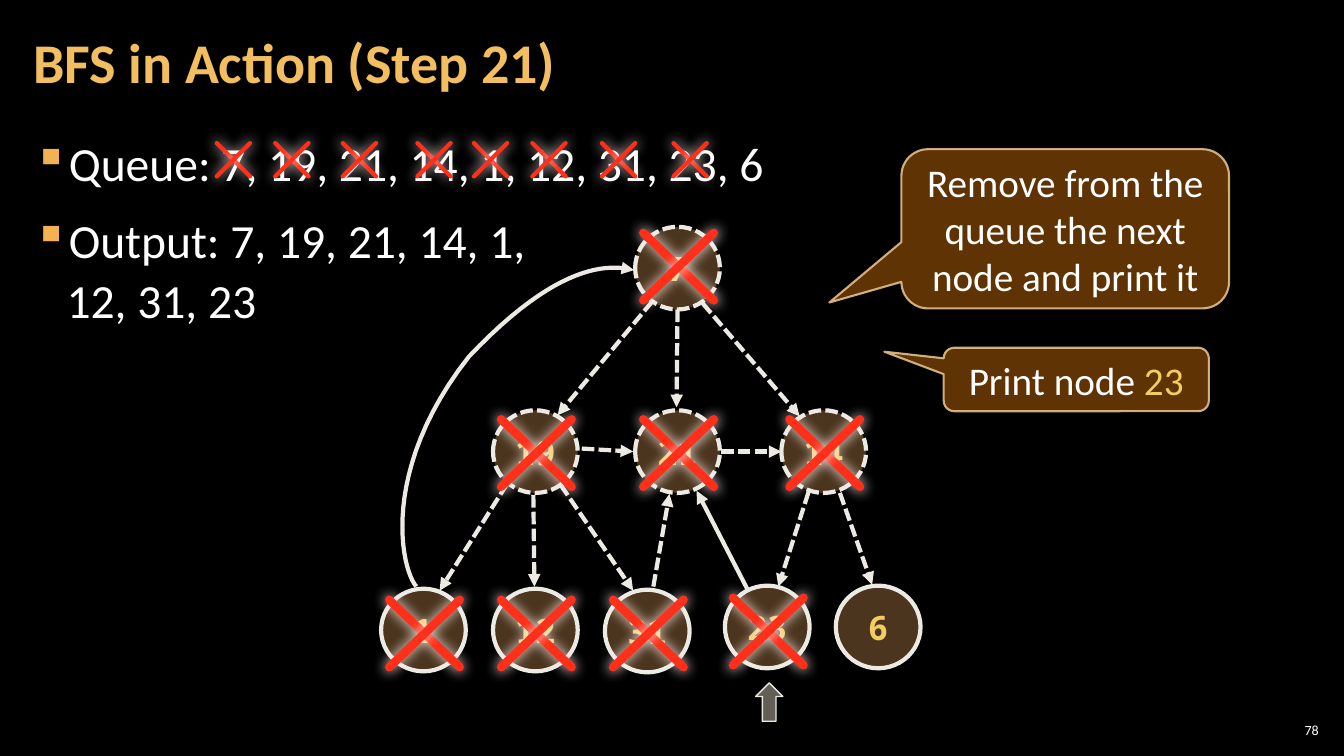
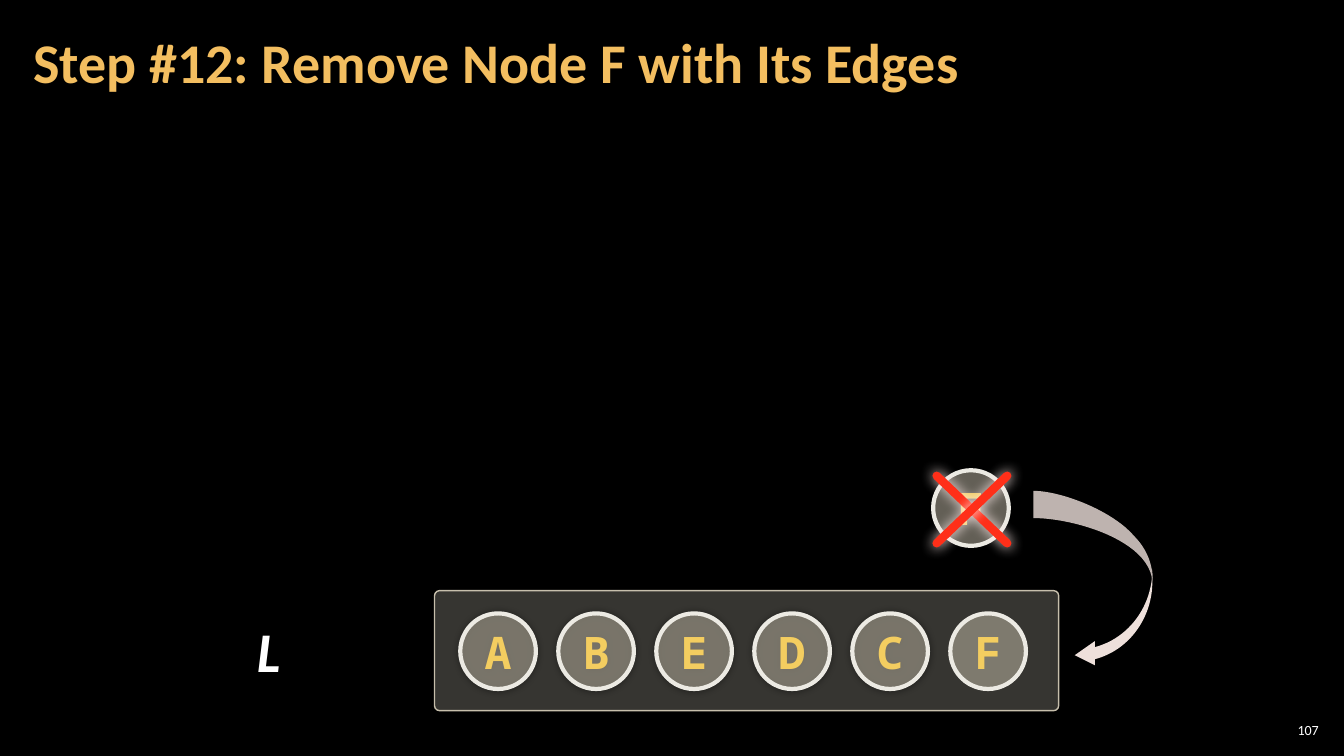
from dataclasses import dataclass
from lxml.etree import SubElement
from pptx import Presentation
from pptx.dml.color import RGBColor as Color
from pptx.enum.dml import MSO_LINE as Dash
from pptx.enum.shapes import MSO_CONNECTOR as Link, MSO_SHAPE as Shape
from pptx.enum.text import MSO_ANCHOR as Anchor, PP_ALIGN as Align
from pptx.oxml.ns import qn
from pptx.util import Inches, Pt


@dataclass(frozen=True)
class Theme:
    font: str = "Calibri"
    mono: str = "Noto Sans Mono"
    black: str = "000000"
    white: str = "FFFFFF"
    title: str = "F3BE60"
    bullet: str = "F2B254"
    gold: str = "F3CD60"
    pale: str = "ECEAE3"
    brown: str = "6C4C2C"
    stone: str = "C7BFAC"
    tray: str = "D9D5C7"
    red: str = "FF2F19"
    glow: str = "FFEDEB"
    callout: str = "663606"
    callout_edge: str = "F8D49E"
    swoosh: str = "EEE0DB"
    swoosh_dark: str = "BEB3AF"


THEME = Theme()
# Text formats: attributes of a font, with the colour as hex
TITLE = dict(size=40, name=THEME.font, bold=True, color=THEME.title)
BODY = dict(size=34, name=THEME.font, color=THEME.white)
NUMBER = dict(size=10, name=THEME.font, color=THEME.white)
NOTE = dict(size=28, name=THEME.font, color=THEME.white)
NOTE_KEY = NOTE | dict(color=THEME.gold)
NODE = dict(size=24, name=THEME.mono, bold=True, color=THEME.gold)
LETTER = NODE | dict(size=32)
LIST_NAME = dict(size=40, name=THEME.font, bold=True, italic=True, color=THEME.white)

# The slide is a grid of 13.33 columns by 7.5 rows, one inch each
COLUMNS, ROWS = 13.33, 7.5
NARROW = (0.12, 0.04, 0.12, 0.04)
NORMAL = (0.1, 0.05, 0.1, 0.05)
GLOW = dict(color=THEME.glow, alpha=100, blur=10, angle=90)
SOFT = dict(color=THEME.black, alpha=40, blur=5, angle=0)

# Content of the traversal slide
BULLETS = ["Queue: 7, 19, 21, 14, 1, 12, 31, 23, 6",
           "Output: 7, 19, 21, 14, 1,\n12, 31, 23"]
QUEUE_CROSSES = [2.15, 2.73, 3.4, 4.14, 4.7, 5.28, 5.97, 6.68]
# label, centre column, centre row, dashed, drop of the cross (None: no cross)
NODES = [
    ("7", 6.72, 2.66, True, -0.02),
    ("19", 5.31, 4.48, True, 0.01),
    ("21", 6.72, 4.48, True, 0.01),
    ("14", 8.17, 4.48, True, 0.01),
    ("1", 4.2, 6.25, False, 0.03),
    ("12", 5.31, 6.25, False, 0.03),
    ("31", 6.42, 6.26, False, 0.02),
    ("23", 7.61, 6.22, False, 0.04),
    ("6", 8.71, 6.22, False, None),
]
# start, end, dashed
EDGES = [
    ((6.47, 2.99), (5.53, 4.12), True),
    ((6.72, 3.07), (6.71, 4.04), True),
    ((6.97, 3.01), (7.93, 4.13), True),
    ((5.77, 4.45), (6.28, 4.48), True),
    ((7.15, 4.48), (7.75, 4.48), True),
    ((5.03, 4.8), (4.36, 5.86), True),
    ((5.29, 4.91), (5.3, 5.82), True),
    ((5.56, 4.81), (6.28, 5.86), True),
    ((6.48, 5.82), (6.64, 4.9), True),
    ((7.41, 5.84), (6.91, 4.87), False),
    ((8.02, 4.88), (7.72, 5.82), True),
    ((8.33, 4.89), (8.65, 5.8), True),
]
# An outline is a start, then steps: one point is a line, three a curve
BACK_EDGE = [(4.13, 5.82), [(3.98, 5.65), (3.76, 4.67), (4.65, 3.54)],
             [(5.54, 2.6), (6.04, 2.62), (6.29, 2.68)]]
CALLOUTS = [
    ((8.94, 1.48, 3.25, 1.58), (-0.72, 0.463, 0.167),
     [("Remove from the queue the next node and print it", NOTE)]),
    ((9.36, 3.45, 2.63, 0.63), (-0.724, -0.437, 0.167),
     [("Print node ", NOTE), ("23", NOTE_KEY)]),
]

# Content of the sorting slide
SORTED = "ABEDCF"
SWOOSH = [
    (THEME.swoosh, [
        (11.43, 5.65), [(11.43, 6.01), (11.2, 6.33), (10.86, 6.42)],
        [(10.86, 6.36)], [(10.66, 6.5)], [(10.86, 6.6)], [(10.86, 6.54)],
        [(11.2, 6.45), (11.43, 6.13), (11.43, 5.77)]]),
    (THEME.swoosh_dark, [
        (10.25, 5.14), [(10.65, 5.14), (11.4, 5.36), (11.43, 5.77)],
        [(11.44, 5.62), (11.38, 5.45), (11.25, 5.32)],
        [(11.04, 5.07), (10.53, 4.87), (10.25, 4.87)]]),
]


# Formatting helpers
def set_alpha(parent, percent):
    color = parent.find(qn("a:solidFill"))[0]
    SubElement(color, qn("a:alpha"), val=str(percent * 1000))


def set_effect(shape, shadow=None):
    """Replace the style's shadow by the given one, or by none."""
    properties = shape.element.spPr
    effects = properties.find(qn("a:effectLst"))
    if effects is None:
        effects = SubElement(properties, qn("a:effectLst"))
    if shadow:
        outer = SubElement(effects, qn("a:outerShdw"), blurRad=str(Pt(shadow["blur"])),
                           dist="0", dir=str(shadow["angle"] * 60000),
                           algn="ctr", rotWithShape="0")
        color = SubElement(outer, qn("a:srgbClr"), val=shadow["color"])
        SubElement(color, qn("a:alpha"), val=str(shadow["alpha"] * 1000))


def set_line(shape, color, width, dashed=False, arrow=False, alpha=None, rounded=False):
    line = shape.line
    line.color.rgb = Color.from_string(color)
    line.width = Pt(width)
    if dashed:
        line.dash_style = Dash.SQUARE_DOT
    outline = shape.element.spPr.find(qn("a:ln"))
    if rounded:
        outline.set("cap", "rnd")
    if arrow:
        SubElement(outline, qn("a:tailEnd"), type="triangle")
    if alpha:
        set_alpha(outline, alpha)


def set_fill(shape, color, alpha=None):
    shape.fill.solid()
    shape.fill.fore_color.rgb = Color.from_string(color)
    if alpha:
        set_alpha(shape.element.spPr, alpha)


def add_spans(para, spans):
    for text, style in spans:
        for index, piece in enumerate(text.split("\n")):
            if index:
                para.add_line_break()
            span = para.add_run()
            span.text = piece
            for key, value in style.items():
                if key == "color":
                    span.font.color.rgb = Color.from_string(value)
                else:
                    setattr(span.font, key, Pt(value) if key == "size" else value)


def set_frame(frame, insets=NORMAL, anchor=Anchor.MIDDLE, wrap=True):
    frame.word_wrap, frame.vertical_anchor = wrap, anchor
    for side, inset in zip(("left", "top", "right", "bottom"), insets):
        setattr(frame, f"margin_{side}", Inches(inset))


def add_text(page, at, spans, align=Align.LEFT, insets=NORMAL):
    box = page.shapes.add_textbox(*map(Inches, at))
    set_frame(box.text_frame, insets)
    para = box.text_frame.paragraphs[0]
    para.alignment = align
    add_spans(para, spans)
    return para


# Drawing helpers
def add_shape(page, kind, at, fill, alpha, line, spans=(), wrap=True,
              adjust=(), shadow=None):
    shape = page.shapes.add_shape(kind, *map(Inches, at))
    shape.shadow.inherit = False
    for index, value in enumerate(adjust):
        shape.adjustments[index] = value
    set_fill(shape, fill, alpha)
    set_line(shape, **line)
    set_effect(shape, shadow)
    set_frame(shape.text_frame, wrap=wrap)
    if spans:
        para = shape.text_frame.paragraphs[0]
        para.alignment = Align.CENTER
        add_spans(para, spans)
    return shape


def add_node(page, center, size, label, style, fill, alpha, dashed=False, shadow=None):
    (x, y), (width, height) = center, size
    add_shape(page, Shape.OVAL, (x - width / 2, y - height / 2, width, height),
              fill, alpha, dict(color=THEME.pale, width=3, dashed=dashed),
              [(label, style)], wrap=False, shadow=shadow)


def add_line(page, start, end, shadow=None, **line):
    link = page.shapes.add_connector(Link.STRAIGHT, *map(Inches, (*start, *end)))
    set_line(link, **line)
    set_effect(link, shadow)


def add_cross(page, left, top, width, height, weight):
    right, bottom = left + width, top + height
    for start, end in (((left, top), (right, bottom)), ((right, top), (left, bottom))):
        add_line(page, start, end, GLOW, color=THEME.red, width=weight, rounded=True)


def add_node_cross(page, x, y):
    add_cross(page, x - 0.35, y - 0.33, 0.7, 0.67, 6)


def add_outline(page, outline, close):
    start, *steps = outline
    points = [start]
    for step in steps:
        if len(step) == 1:
            points += step
            continue
        corners = [points[-1], *step]
        for t in (count / 24 for count in range(1, 25)):
            weights = ((1 - t) ** 3, 3 * t * (1 - t) ** 2, 3 * t * t * (1 - t), t ** 3)
            points.append(tuple(sum(w * corner[axis] for w, corner in zip(weights, corners))
                                for axis in (0, 1)))
    points = [(Inches(x), Inches(y)) for x, y in points]
    builder = page.shapes.build_freeform(*points[0])
    builder.add_line_segments(points[1:], close=close)
    shape = builder.convert_to_shape()
    shape.shadow.inherit = False
    return shape


def add_page(deck, title, number):
    page = deck.slides.add_slide(deck.slide_layouts[6])
    add_text(page, (0.21, 0.04, 10.47, 1.21), [(title, TITLE)],
             insets=NARROW).line_spacing = 0.9
    add_text(page, (12.65, 7.14, 0.47, 0.21), [(number, NUMBER)], Align.RIGHT, (0.04,) * 4)
    return page


def add_bullets(page, at, lines):
    frame = page.shapes.add_textbox(*map(Inches, at)).text_frame
    set_frame(frame, NARROW, Anchor.TOP)
    for index, text in enumerate(lines):
        para = frame.add_paragraph() if index else frame.paragraphs[0]
        para.line_spacing = 1.05
        para.space_before, para.space_after = Pt(6 if index else 0), Pt(6)
        properties = para._p.get_or_add_pPr()
        properties.set("marL", str(Inches(0.33)))
        properties.set("indent", str(-Inches(0.33)))
        color = SubElement(properties, qn("a:buClr"))
        SubElement(color, qn("a:srgbClr"), val=THEME.bullet)
        SubElement(properties, qn("a:buChar"), char="▪")
        add_spans(para, [(text, BODY)])


def build_traversal(deck):
    page = add_page(deck, "BFS in Action (Step 21)", "78")
    add_bullets(page, (0.21, 1.26, 12.91, 6.09), BULLETS)
    for left in QUEUE_CROSSES:
        add_cross(page, left, 1.42, 0.33, 0.33, 3)
    # Graph
    for start, end, dashed in EDGES:
        add_line(page, start, end, color=THEME.pale, width=3, dashed=dashed, arrow=True)
    curve = add_outline(page, BACK_EDGE, close=False)
    curve.fill.background()
    set_line(curve, THEME.pale, 3, arrow=True)
    for label, x, y, dashed, drop in NODES:
        add_node(page, (x, y), (0.84, 0.82), label, NODE, THEME.brown, 70, dashed)
        if drop is not None:
            add_node_cross(page, x + 0.01, y + drop)
    # Pointer to the current node
    pointer = add_shape(page, Shape.RIGHT_ARROW, (7.44, 6.83, 0.38, 0.27),
                        THEME.stone, 50, dict(color=THEME.pale, width=1))
    pointer.rotation = 270
    for at, adjust, spans in CALLOUTS:
        add_shape(page, Shape.ROUNDED_RECTANGULAR_CALLOUT, at, THEME.callout, 95,
                  dict(color=THEME.callout_edge, width=1.5, alpha=80), spans, adjust=adjust)


def build_sorting(deck):
    page = add_page(deck, "Step #12: Remove Node F with Its Edges", "107")
    # Sorted list
    add_text(page, (2.25, 6.08, 0.83, 0.74), [("L", LIST_NAME)], Align.CENTER)
    add_shape(page, Shape.ROUNDED_RECTANGLE, (4.31, 5.86, 6.19, 1.19), THEME.tray, 25,
              dict(color=THEME.stone, width=1), adjust=(0.041,))
    last = len(SORTED) - 1
    for index, letter in enumerate(SORTED):
        x = 4.94 + index * 4.86 / last
        add_node(page, (x, 6.46), (0.75, 0.75), letter, LETTER, THEME.stone, 50,
                 shadow=SOFT if index < last else None)
    # Removed node and its way into the list
    add_node(page, (9.63, 5.04), (0.75, 0.75), SORTED[last], LETTER, THEME.stone, 50)
    add_node_cross(page, 9.64, 5.05)
    for color, outline in SWOOSH:
        part = add_outline(page, outline, close=True)
        set_fill(part, color)
        part.line.fill.background()


def main():
    deck = Presentation()
    deck.slide_width, deck.slide_height = Inches(COLUMNS), Inches(ROWS)
    backdrop = deck.slide_master.background.fill
    backdrop.solid()
    backdrop.fore_color.rgb = Color.from_string(THEME.black)
    build_traversal(deck)
    build_sorting(deck)
    deck.save("out.pptx")


if __name__ == "__main__":
    main()
